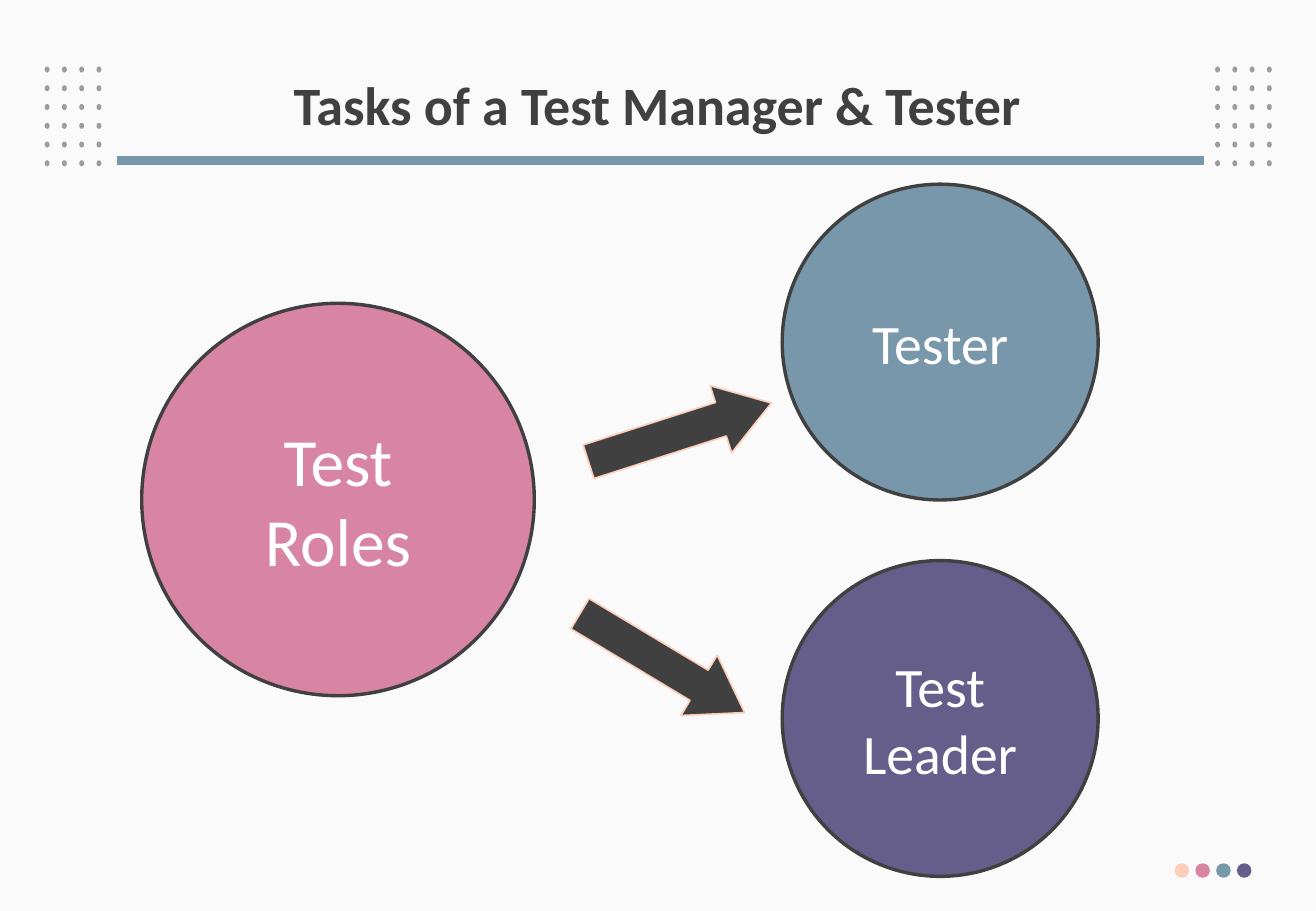
from itertools import product

from lxml.etree import SubElement
from pptx import Presentation
from pptx.dml.color import RGBColor
from pptx.enum.shapes import MSO_CONNECTOR, MSO_SHAPE
from pptx.enum.text import MSO_ANCHOR, PP_ALIGN
from pptx.oxml.ns import qn
from pptx.util import Pt

COLORS = {
    "back": "FAFAFA",
    "dot": "9D9D9D",
    "dark": "404040",
    "white": "FFFFFF",
    "peach": "FDCEB9",
    "pink": "D885A3",
    "blue": "7897AB",
    "purple": "655D8A",
}


def color(name):
    return RGBColor.from_string(COLORS[name])


class Deck:
    font = "Calibri"

    def __init__(self, width, height):
        self.prs = Presentation()
        self.prs.slide_width, self.prs.slide_height = Pt(width), Pt(height)
        self.slide = self.prs.slides.add_slide(self.prs.slide_layouts[5])
        fill = self.slide.background.fill
        fill.solid()
        fill.fore_color.rgb = color("back")

    def label(self, shape, text, size, ink, bold=False):
        frame = shape.text_frame
        frame.text = text
        frame.word_wrap = True
        frame.vertical_anchor = MSO_ANCHOR.MIDDLE
        para = frame.paragraphs[0]
        para.alignment = PP_ALIGN.CENTER
        para.font.name, para.font.size = self.font, Pt(size)
        para.font.bold = bold
        para.font.color.rgb = color(ink)
        return para

    def title(self, text, box):
        shape = self.slide.shapes.title
        shape.left, shape.top, shape.width, shape.height = map(Pt, box)
        self.label(shape, text, 32, "dark", True).line_spacing = 0.9

    def shape(self, kind, box, fill, edge=None, weight=1, shapes=None):
        """Add a filled shape to the slide, or to the given group's shapes."""
        shapes = shapes or self.slide.shapes
        shape = shapes.add_shape(kind, *map(Pt, box))
        shape.shadow.inherit = False
        shape.fill.solid()
        shape.fill.fore_color.rgb = color(fill)
        if edge:
            shape.line.color.rgb = color(edge)
            shape.line.width = Pt(weight)
        else:
            shape.line.fill.background()
        return shape

    def dots(self, left, top, step, size, rows):
        """Add a grouped grid of dots; rows holds the colour names."""
        group = self.slide.shapes.add_group_shape().shapes
        for row, col in product(range(len(rows)), range(len(rows[0]))):
            box = (left + col * step[0], top + row * step[1], *size)
            # An empty group is falsy, so its first dot is added directly.
            self.dot(group, box, rows[row][col])

    def dot(self, group, box, fill):
        shape = group.add_shape(MSO_SHAPE.OVAL, *map(Pt, box))
        self.paint(shape, fill)

    def paint(self, shape, fill):
        shape.shadow.inherit = False
        shape.fill.solid()
        shape.fill.fore_color.rgb = color(fill)
        shape.line.fill.background()

    def rule(self, start, end, y, weight, ink):
        line = self.slide.shapes.add_connector(
            MSO_CONNECTOR.STRAIGHT, Pt(start), Pt(y), Pt(end), Pt(y))
        line.line.color.rgb = color(ink)
        line.line.width = Pt(weight)
        SubElement(line._element.spPr, qn("a:effectLst"))

    def role(self, text, left, top, size, fill, points, inset=None):
        shape = self.shape(
            MSO_SHAPE.OVAL, (left, top, size, size), fill, "dark", 2)
        self.label(shape, text, points, "white")
        if inset:
            frame = shape.text_frame
            frame.margin_left = frame.margin_right = Pt(inset)

    def arrow(self, left, top, angle):
        shape = self.shape(
            MSO_SHAPE.RIGHT_ARROW, (left, top, 113.8, 41.8), "dark", "peach")
        shape.adjustments[1] = 0.752
        shape.rotation = angle


def main():
    deck = Deck(779.76, 540)
    for left in (26.5, 720):
        deck.dots(left, 39.4, (10.23, 11.12), (2.9, 3.6), [["dot"] * 4] * 6)
    deck.rule(69.3, 713.4, 95, 5.25, "blue")
    deck.dots(696, 511.7, (12.3, 0), (8.6, 8.6),
              [["peach", "pink", "blue", "purple"]])
    deck.title("Tasks of a Test Manager & Tester", (53.3, 28.8, 672.5, 70.6))
    deck.role("Test Roles", 84, 179.8, 232.6, "pink", 40)
    deck.role("Tester", 463.5, 109.2, 187.2, "blue", 33, 3)
    deck.role("Test Leader", 463.5, 332.3, 187.2, "purple", 33, 3)
    deck.arrow(346, 235.4, 342.2)
    deck.arrow(335.5, 372.2, 31)
    deck.prs.save("out.pptx")


if __name__ == "__main__":
    main()
